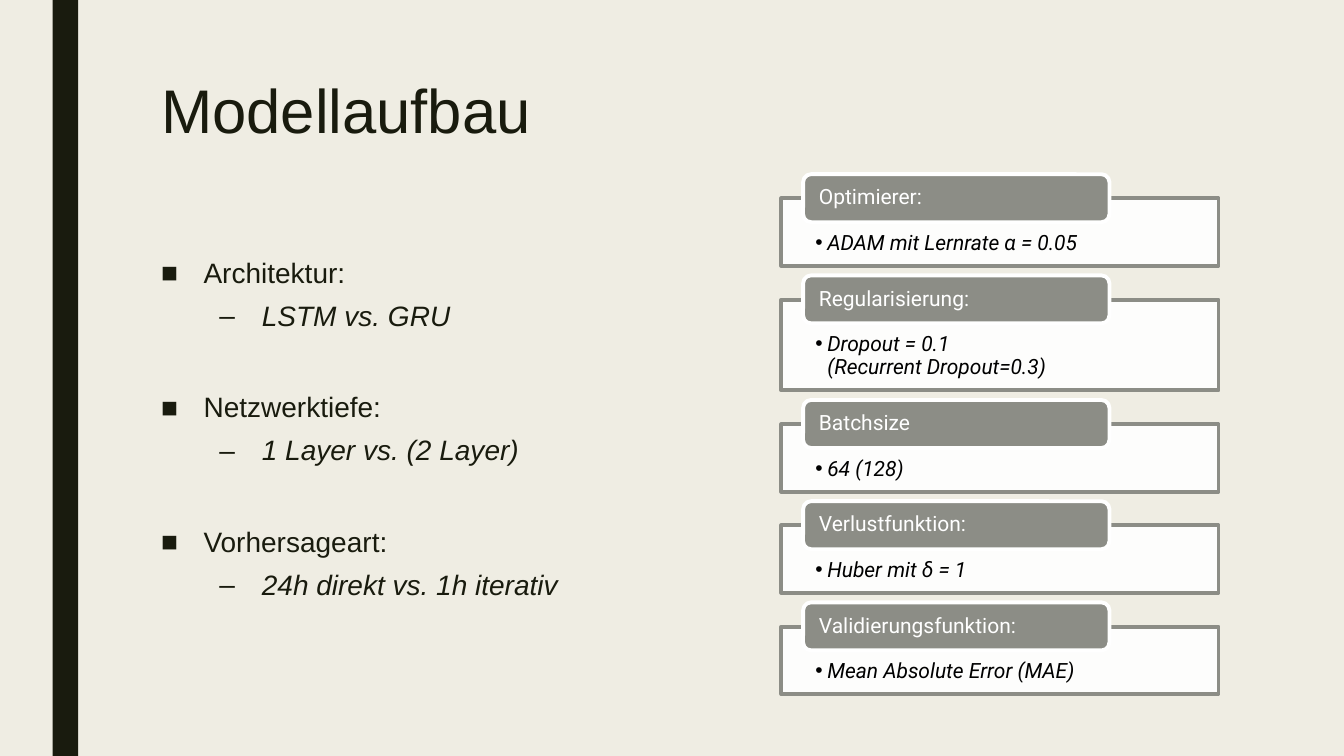
from lxml import etree
from pptx import Presentation
from pptx import util as u
from pptx.dml.color import RGBColor
from pptx.enum import shapes, text
from pptx.oxml.ns import qn

Cm, Pt = u.Cm, u.Pt
COLORS = {"background": "EFEDE3", "ink": "191B0E", "grey": "8C8D86",
          "white": "FFFFFF", "black": "000000"}
TOPICS = [
    ("Architektur:", "LSTM vs. GRU"),
    ("Netzwerktiefe:", "1 Layer vs. (2 Layer)"),
    ("Vorhersageart:", "24h direkt vs. 1h iterativ"),
]
SETTINGS = [
    ("Optimierer:", ["ADAM mit Lernrate α = 0.05"]),
    ("Regularisierung:", ["Dropout = 0.1", "(Recurrent Dropout=0.3)"]),
    ("Batchsize", ["64 (128)"]),
    ("Verlustfunktion:", ["Huber mit δ = 1"]),
    ("Validierungsfunktion:", ["Mean Absolute Error (MAE)"]),
]


def rgb(name):
    return RGBColor.from_string(COLORS[name])


def set_frame(sp, insets, anchor=text.MSO_ANCHOR.TOP):
    """Prepare the text frame; insets are left, top, right, bottom in cm."""
    tf = sp.text_frame
    tf.word_wrap = True
    tf.vertical_anchor = anchor
    tf.margin_left, tf.margin_top, tf.margin_right, tf.margin_bottom = map(Cm, insets)
    return tf


def add_text_box(s, left, top, width, height):
    sp = s.shapes.add_textbox(Cm(left), Cm(top), Cm(width), Cm(height))
    return set_frame(sp, (0.25, 0.13, 0.25, 0.13))


def add_box(s, kind, left, top, width, height, fill, line=None):
    sp = s.shapes.add_shape(kind, Cm(left), Cm(top), Cm(width), Cm(height))
    sp.shadow.inherit = False
    sp.fill.solid()
    sp.fill.fore_color.rgb = rgb(fill)
    if line:
        sp.line.color.rgb = rgb(line)
        sp.line.width = Pt(2.75)
    else:
        sp.line.fill.background()
    return sp


def set_alpha(sp, percent):
    color = sp.fill._xPr.find(qn("a:solidFill"))[0]
    etree.SubElement(color, qn("a:alpha"), val=str(percent * 1000))


def set_bullet(p, char, left, hanging):
    """Give the paragraph a bullet; left and hanging indents in cm."""
    pPr = p._p.get_or_add_pPr()
    pPr.set("marL", str(Cm(left)))
    pPr.set("indent", str(-Cm(hanging)))
    etree.SubElement(pPr, qn("a:buFont"), typeface="Arial")
    etree.SubElement(pPr, qn("a:buChar"), char=char)


def write(p, lines, size, font, color, italic=False, spacing=0.9):
    p.alignment = text.PP_ALIGN.LEFT
    p.line_spacing = spacing
    for i, line in enumerate(lines):
        if i:
            p.add_line_break()
        r = p.add_run()
        r.text = line
        r.font.size = Pt(size)
        r.font.name = font
        r.font.italic = italic
        r.font.color.rgb = rgb(color)


def add_topics(s):
    tf = add_text_box(s, 3.81, 6.35, 15, 9.96)
    for i, (topic, choice) in enumerate(TOPICS):
        p = tf.add_paragraph() if i else tf.paragraphs[0]
        set_bullet(p, "■", 1.07, 1.07)
        p.space_before, p.space_after = Pt(40 if i else 0), Pt(2)
        write(p, [topic], 20, "Arial", "ink", spacing=0.98)
        p = tf.add_paragraph()
        set_bullet(p, "–", 2.54, 1.07)
        p.space_before, p.space_after = Pt(5), Pt(2)
        write(p, [choice], 20, "Arial", "ink", italic=True, spacing=0.98)


def add_setting(s, top, height, label, lines):
    card = add_box(s, shapes.MSO_SHAPE.RECTANGLE, 19.69, top, 11.02, height,
                   "white", "grey")
    set_alpha(card, 90)
    p = set_frame(card, (0.86, 0.86, 0.86, 0.3)).paragraphs[0]
    set_bullet(p, "•", 0.3, 0.3)
    write(p, lines, 15, "Roboto", "black", italic=True)

    tab = add_box(s, shapes.MSO_SHAPE.ROUNDED_RECTANGLE, 20.24, top - 0.61, 7.72, 1.21,
                  "grey", "white")
    tf = set_frame(tab, (0.34, 0, 0.34, 0), text.MSO_ANCHOR.MIDDLE)
    write(tf.paragraphs[0], [label], 15, "Roboto", "white")


def main():
    prs = Presentation()
    prs.slide_width, prs.slide_height = Cm(33.87), Cm(19.05)
    s = prs.slides.add_slide(prs.slide_layouts[6])
    s.background.fill.solid()
    s.background.fill.fore_color.rgb = rgb("background")

    add_box(s, shapes.MSO_SHAPE.RECTANGLE, 1.33, 0, 0.64, 19.05, "ink")
    title = add_text_box(s, 3.81, 1.91, 26.67, 4.11)
    write(title.paragraphs[0], ["Modellaufbau"], 44, "Arial", "ink", spacing=0.89)
    add_topics(s)

    top, gap = 5.0, 0.85
    for label, lines in SETTINGS:
        height = 1.7 + 0.59 * (len(lines) - 1)
        add_setting(s, top, height, label, lines)
        top += height + gap

    prs.save("out.pptx")


if __name__ == "__main__":
    main()
